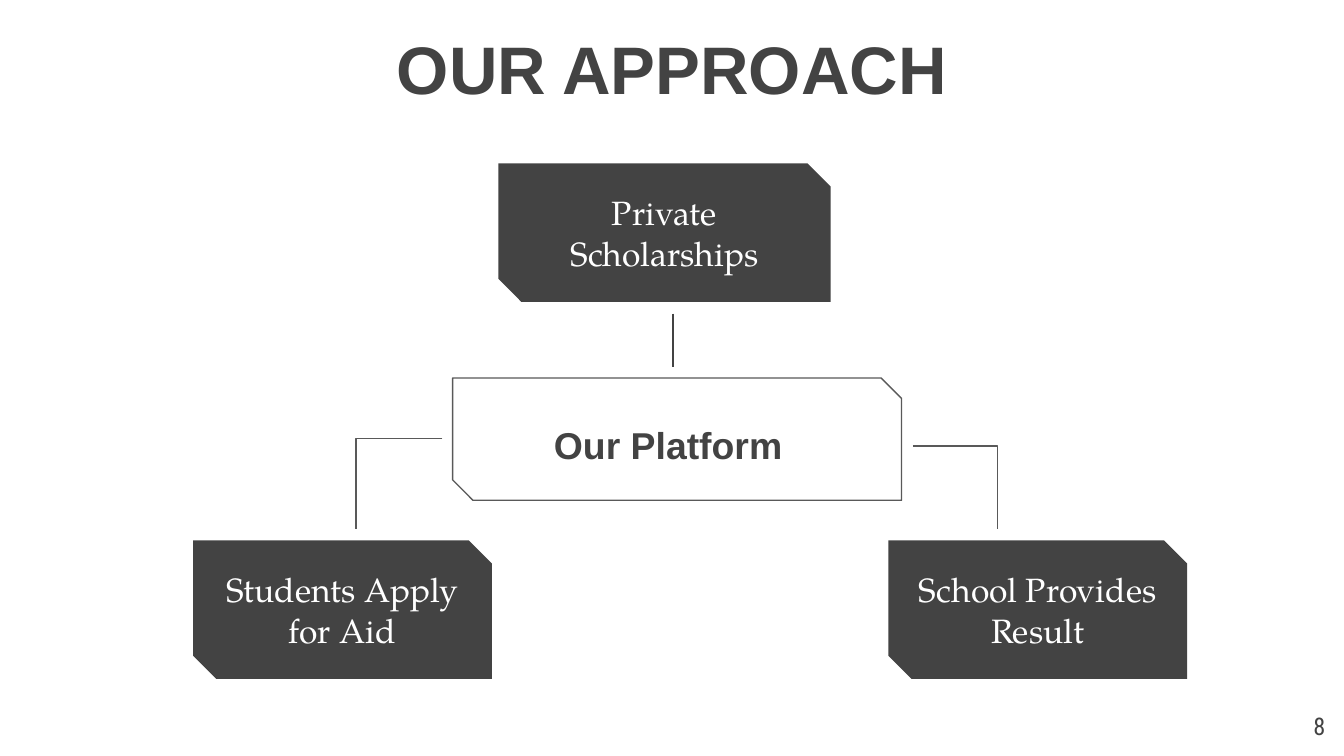
"""Build the "Our approach" slide: a platform linking scholarships, students and schools."""
from lxml import etree
from pptx import Presentation
from pptx.dml.color import RGBColor
from pptx.enum.shapes import MSO_CONNECTOR as LINK, MSO_SHAPE as SHAPE
from pptx.enum.text import MSO_ANCHOR as ANCHOR, PP_ALIGN as ALIGN
from pptx.oxml.ns import qn
from pptx.util import Pt

COLORS = {"dark": "434343", "outline": "595959", "white": "FFFFFF"}
SERIF = "TeX Gyre Pagella"


def color(name):
    return RGBColor.from_string(COLORS[name])


def write(holder, lines, font, size, ink, bold=False, align=ALIGN.CENTER, anchor=ANCHOR.MIDDLE):
    frame = holder.text_frame
    frame.word_wrap = True
    frame.vertical_anchor = anchor
    frame.margin_left = frame.margin_right = Pt(7.2)
    frame.margin_top = frame.margin_bottom = Pt(7.2)
    frame.text = lines
    for paragraph in frame.paragraphs:
        paragraph.alignment = align
        paragraph.font.name = font
        paragraph.font.size = Pt(size)
        paragraph.font.bold = bold
        paragraph.font.color.rgb = color(ink)


deck = Presentation()
deck.slide_width, deck.slide_height = Pt(720), Pt(405)
slide = deck.slides.add_slide(deck.slide_layouts[6])
shapes = slide.shapes

title = shapes.add_textbox(Pt(154.8), Pt(7.2), Pt(410.4), Pt(74))
write(title, "OUR APPROACH", "Arial", 36, "dark", bold=True, anchor=ANCHOR.TOP)

parties = [
    ("Private\nScholarships", 267, 87.6, 178),
    ("Students Apply for Aid", 103.5, 289.5, 160),
    ("School Provides Result", 476, 289.5, 160),
]
for label, left, top, width in parties:
    party = shapes.add_shape(SHAPE.SNIP_2_DIAG_RECTANGLE, Pt(left), Pt(top), Pt(width), Pt(74.2))
    party.shadow.inherit = False
    party.fill.solid()
    party.fill.fore_color.rgb = color("dark")
    party.line.fill.background()
    write(party, label, SERIF, 18, "white")

platform = shapes.add_shape(SHAPE.SNIP_2_DIAG_RECTANGLE, Pt(242.5), Pt(202.5), Pt(240.5), Pt(65.5))
platform.shadow.inherit = False
platform.fill.background()
platform.line.color.rgb = color("outline")
platform.line.width = Pt(0.75)
write(platform, "Our Platform", "Arial", 20, "dark", bold=True)
platform.text_frame.margin_top = Pt(12.5)
platform.text_frame.margin_right = Pt(16.5)

links = [
    (LINK.STRAIGHT, "dark", 360.5, 168, 360.5, 196.5),
    (LINK.ELBOW, "outline", 237, 235, 190.8, 283.5),
    (LINK.ELBOW, "outline", 489, 239, 534.5, 283.5),
]
for kind, ink, x1, y1, x2, y2 in links:
    link = shapes.add_connector(kind, Pt(x1), Pt(y1), Pt(x2), Pt(y2))
    link.line.color.rgb = color(ink)
    link.line.width = Pt(0.75)
    properties = link._element.spPr
    etree.SubElement(properties, qn("a:effectLst"))
    if kind == LINK.ELBOW:
        geometry = properties.find(qn("a:prstGeom"))
        bend = etree.SubElement(geometry.find(qn("a:avLst")), qn("a:gd"))
        bend.set("name", "adj1")
        bend.set("fmla", "val 100000")

page_number = shapes.add_textbox(Pt(674), Pt(373.7), Pt(43), Pt(31))
write(page_number, "8", "Roboto Condensed", 13, "dark", align=ALIGN.RIGHT, anchor=ANCHOR.TOP)

deck.save("out.pptx")
